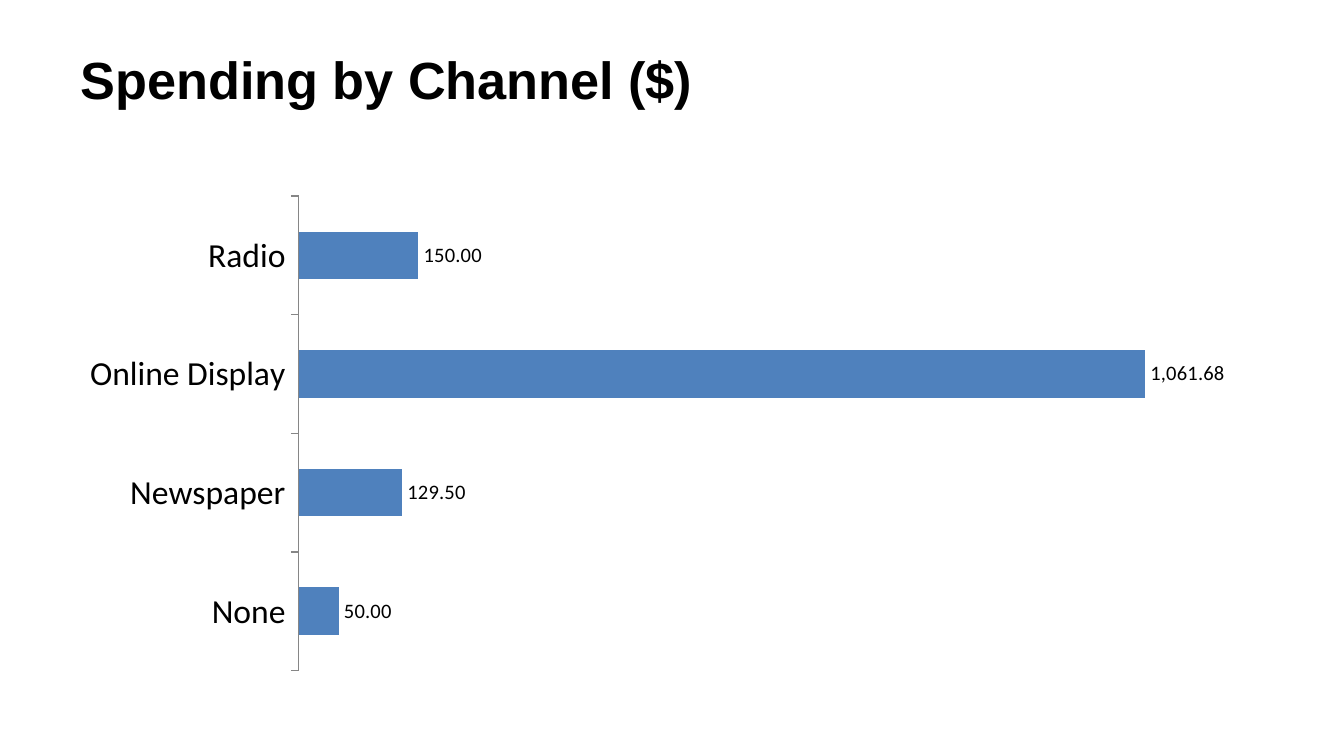
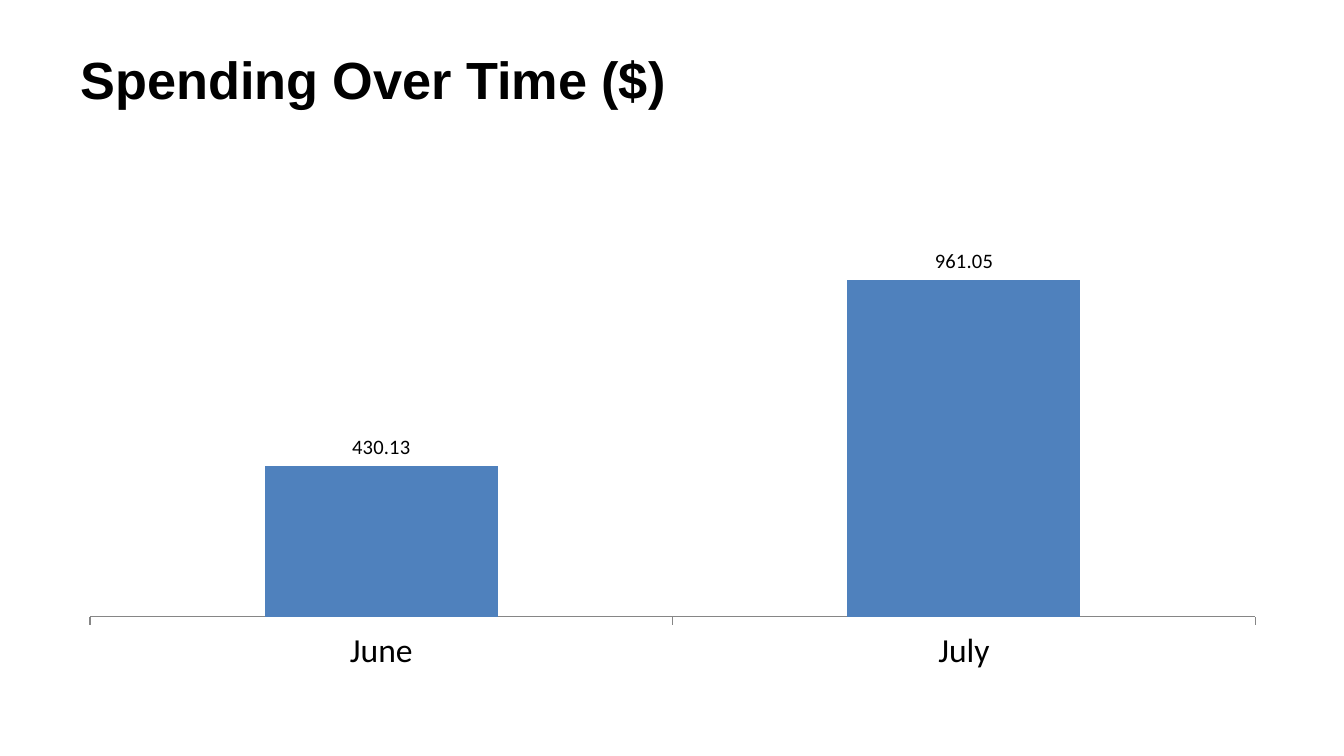
from pptx import Presentation
from pptx.chart.data import CategoryChartData
from pptx.dml.color import RGBColor
from pptx.enum.chart import XL_CHART_TYPE, XL_LABEL_POSITION, XL_TICK_MARK
from pptx.enum.text import MSO_ANCHOR, MSO_AUTO_SIZE, PP_ALIGN
from pptx.util import Pt

# Shared style
PX = 9525
BLACK, BLUE, GREY = "000000", "4F81BD", "868686"
TITLE_BOX = {"left": 48, "top": 29, "width": 864, "height": 105}
CHART_BOX = [47, 133, 867, 353]
TITLE_FONT = {"name": "Arial", "size": Pt(28), "bold": True}
AXIS_FONT = {"name": "Calibri", "size": Pt(18)}
LABEL_FONT = {"name": "Calibri", "size": Pt(11)}

# Title, chart type, reversed categories, values
SLIDES = [
    ("Spending by Channel ($)", XL_CHART_TYPE.BAR_CLUSTERED, True,
     {"Radio": 150, "Online Display": 1061.68, "Newspaper": 129.5, "None": 50}),
    ("Spending Over Time ($)", XL_CHART_TYPE.COLUMN_CLUSTERED, False,
     {"June": 430.13, "July": 961.05}),
]


def rgb(color):
    return RGBColor.from_string(color)


def set_font(font, style):
    for name, value in style.items():
        setattr(font, name, value)
    font.color.rgb = rgb(BLACK)


prs = Presentation()
prs.slide_width, prs.slide_height = 960 * PX, 540 * PX

for title, chart_type, reverse, spending in SLIDES:
    s = prs.slides.add_slide(prs.slide_layouts[5])

    # Title
    sp = s.shapes.title
    for name, value in TITLE_BOX.items():
        setattr(sp, name, value * PX)
    tf = sp.text_frame
    tf.auto_size = MSO_AUTO_SIZE.NONE
    tf.vertical_anchor = MSO_ANCHOR.TOP
    p = tf.paragraphs[0]
    p.alignment = PP_ALIGN.LEFT
    r = p.add_run()
    r.text = title
    set_font(r.font, TITLE_FONT)

    # Chart
    data = CategoryChartData(number_format="#,##0.00")
    data.categories = list(spending)
    data.add_series("Series 1", list(spending.values()))
    chart = s.shapes.add_chart(chart_type, *[v * PX for v in CHART_BOX], data).chart
    chart.has_legend = False
    chart.has_title = False
    set_font(chart.font, AXIS_FONT)

    # Axes
    axis = chart.category_axis
    axis.reverse_order = reverse
    axis.has_major_gridlines = False
    axis.major_tick_mark = XL_TICK_MARK.OUTSIDE
    axis.format.line.color.rgb = rgb(GREY)
    axis.format.line.width = Pt(0.75)
    values = chart.value_axis
    values.visible = False
    values.has_major_gridlines = False
    values.minimum_scale, values.maximum_scale = 0, 1200

    # Bars and value labels
    plot = chart.plots[0]
    plot.gap_width = 150
    plot.vary_by_categories = False
    fill = plot.series[0].format.fill
    fill.solid()
    fill.fore_color.rgb = rgb(BLUE)
    labels = plot.series[0].data_labels
    labels.show_value = True
    labels.number_format = "#,##0.00"
    labels.number_format_is_linked = False
    labels.position = XL_LABEL_POSITION.OUTSIDE_END
    set_font(labels.font, LABEL_FONT)

prs.save("out.pptx")
